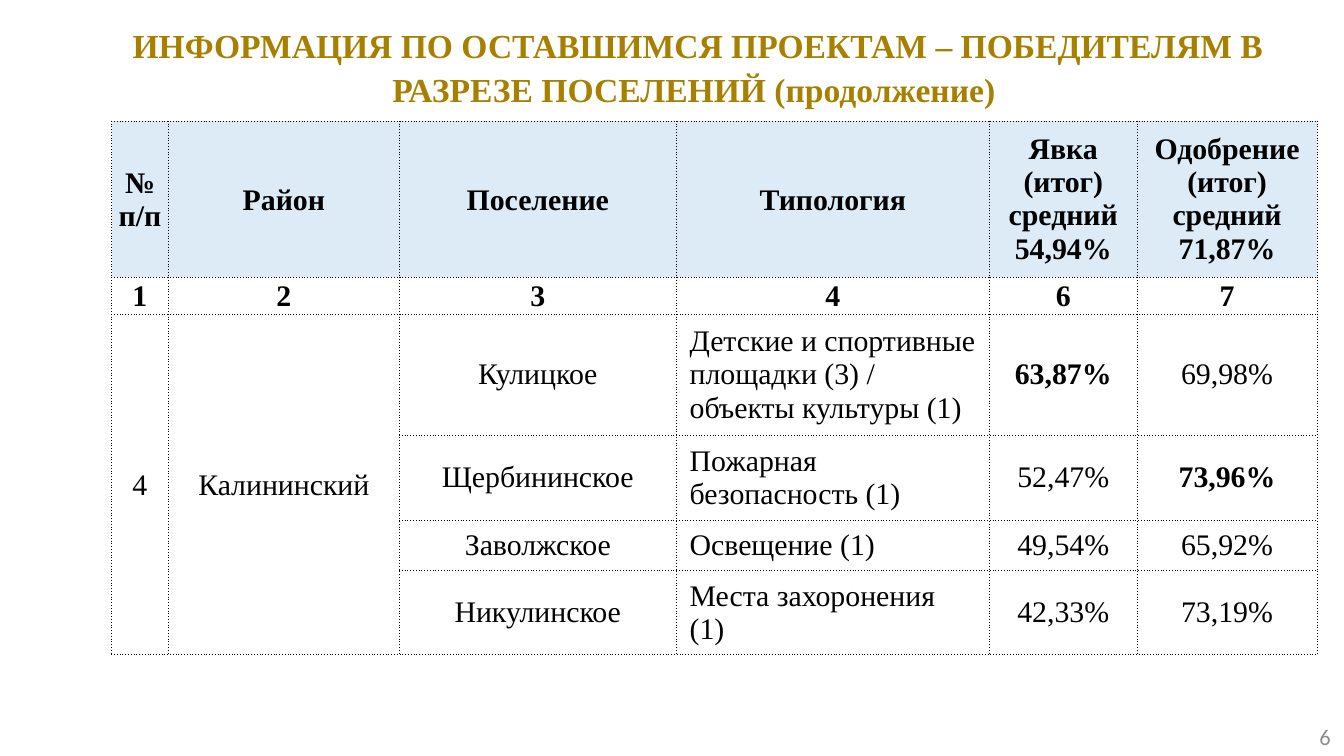
from dataclasses import dataclass

from lxml.etree import SubElement
from pptx import Presentation
from pptx.dml.color import RGBColor as Rgb
from pptx.enum.text import MSO_ANCHOR as Anchor, MSO_AUTO_SIZE as AutoSize, PP_ALIGN as Align
from pptx.oxml.ns import qn
from pptx.util import Cm, Pt


@dataclass(frozen=True)
class Theme:
    gold: str = "A88000"
    ink: str = "000000"
    grey: str = "8C8C8C"
    header: str = "DDEBF7"
    white: str = "FFFFFF"
    serif: str = "Times New Roman"
    sans: str = "Calibri"
    title_size: int = 18
    table_size: int = 16
    number_size: int = 12
    border_width: float = 0.5


TITLE = "ИНФОРМАЦИЯ ПО ОСТАВШИМСЯ ПРОЕКТАМ – ПОБЕДИТЕЛЯМ В РАЗРЕЗЕ ПОСЕЛЕНИЙ (продолжение) "
HEADERS = ["№ п/п", "Район", "Поселение", "Типология",
           "Явка (итог) средний 54,94%", "Одобрение (итог) средний 71,87%"]
COLUMN_NUMBERS = ["1", "2", "3", "4", "6", "7"]
SETTLEMENTS = [
    ["4", "Калининский", "Кулицкое",
     "Детские и спортивные площадки (3) / объекты культуры (1)", "63,87%", "69,98%"],
    ["", "", "Щербининское", "Пожарная безопасность (1)", "52,47%", "73,96%"],
    ["", "", "Заволжское", "Освещение (1)", "49,54%", "65,92%"],
    ["", "", "Никулинское", "Места захоронения (1)", "42,33%", "73,19%"],
]
BEST_VALUES = {"63,87%", "73,96%"}
COLUMN_WIDTHS = [1.07, 4.37, 5.23, 5.92, 2.79, 3.4]
ROW_HEIGHTS = [2.95, 0.7, 2.29, 1.6, 0.95, 1.6]
TYPOLOGY_COLUMN = 3


class SlideBuilder:
    def __init__(self, deck, theme):
        self.theme = theme
        self.slide = deck.slides.add_slide(deck.slide_layouts.get_by_name("Title Only"))

    def style(self, para, size, color, name, bold=False, align=Align.CENTER):
        para.alignment = align
        font = para.font
        font.size, font.name, font.bold = Pt(size), name, bold
        font.color.rgb = Rgb.from_string(color)

    def place(self, box, left, top, width, height):
        box.left, box.top, box.width, box.height = map(Cm, (left, top, width, height))

    def title(self, text, *area):
        box = self.slide.shapes.title
        self.place(box, *area)
        frame = box.text_frame
        frame.text = text
        frame.word_wrap = True
        frame.auto_size = AutoSize.NONE
        frame.vertical_anchor = Anchor.TOP
        para = frame.paragraphs[0]
        para.line_spacing = 1.07
        self.style(para, self.theme.title_size, self.theme.gold, self.theme.serif, bold=True)

    def page_number(self, text, *area):
        box = self.slide.shapes.add_textbox(*map(Cm, area))
        frame = box.text_frame
        frame.word_wrap = True
        frame.vertical_anchor = Anchor.MIDDLE
        frame.text = text
        self.style(frame.paragraphs[0], self.theme.number_size, self.theme.grey,
                   self.theme.sans, align=Align.RIGHT)

    def dotted_borders(self, cell):
        properties = cell._tc.get_or_add_tcPr()
        for position, side in enumerate(("a:lnL", "a:lnR", "a:lnT", "a:lnB")):
            line = SubElement(properties, qn(side), w=str(Pt(self.theme.border_width)))
            fill = SubElement(line, qn("a:solidFill"))
            SubElement(fill, qn("a:srgbClr"), val=self.theme.ink)
            SubElement(line, qn("a:prstDash"), val="sysDot")
            properties.insert(position, line)  # borders come before the fill

    def cell(self, cell, text, fill, bold, align, compact):
        cell.fill.solid()
        cell.fill.fore_color.rgb = Rgb.from_string(fill)
        cell.vertical_anchor = Anchor.MIDDLE
        if compact:
            cell.margin_left = cell.margin_right = cell.margin_top = Cm(0.03)
            cell.margin_bottom = 0
        cell.text = text
        self.style(cell.text_frame.paragraphs[0], self.theme.table_size, self.theme.ink,
                   self.theme.serif, bold, align)
        self.dotted_borders(cell)

    def table(self, rows, left, top):
        table = self.slide.shapes.add_table(
            len(rows), len(COLUMN_WIDTHS), Cm(left), Cm(top),
            Cm(sum(COLUMN_WIDTHS)), Cm(sum(ROW_HEIGHTS))).table
        for column, width in zip(table.columns, COLUMN_WIDTHS):
            column.width = Cm(width)
        for row, height in zip(table.rows, ROW_HEIGHTS):
            row.height = Cm(height)
        for r, texts in enumerate(rows):
            for c, text in enumerate(texts):
                self.cell(
                    table.cell(r, c), text,
                    fill=self.theme.header if r == 0 else self.theme.white,
                    bold=r < 2 or text in BEST_VALUES,
                    align=Align.LEFT if r > 1 and c == TYPOLOGY_COLUMN else Align.CENTER,
                    compact=r == 1 or c < 2 or (r == 0 and c <= TYPOLOGY_COLUMN))
        # The number and the district cover all settlements
        for c in range(2):
            table.cell(2, c).merge(table.cell(len(rows) - 1, c))


def main():
    deck = Presentation()
    deck.slide_width, deck.slide_height = Cm(25.4), Cm(14.29)
    page = SlideBuilder(deck, Theme())

    # Heading
    page.title(TITLE, 2.11, 0.3, 22.17, 1.8)
    # Results by settlement
    page.table([HEADERS, COLUMN_NUMBERS, *SETTLEMENTS], 2.11, 2.29)
    # Page number
    page.page_number("6", 19.48, 13.54, 5.92, 0.76)

    deck.save("out.pptx")


if __name__ == "__main__":
    main()
